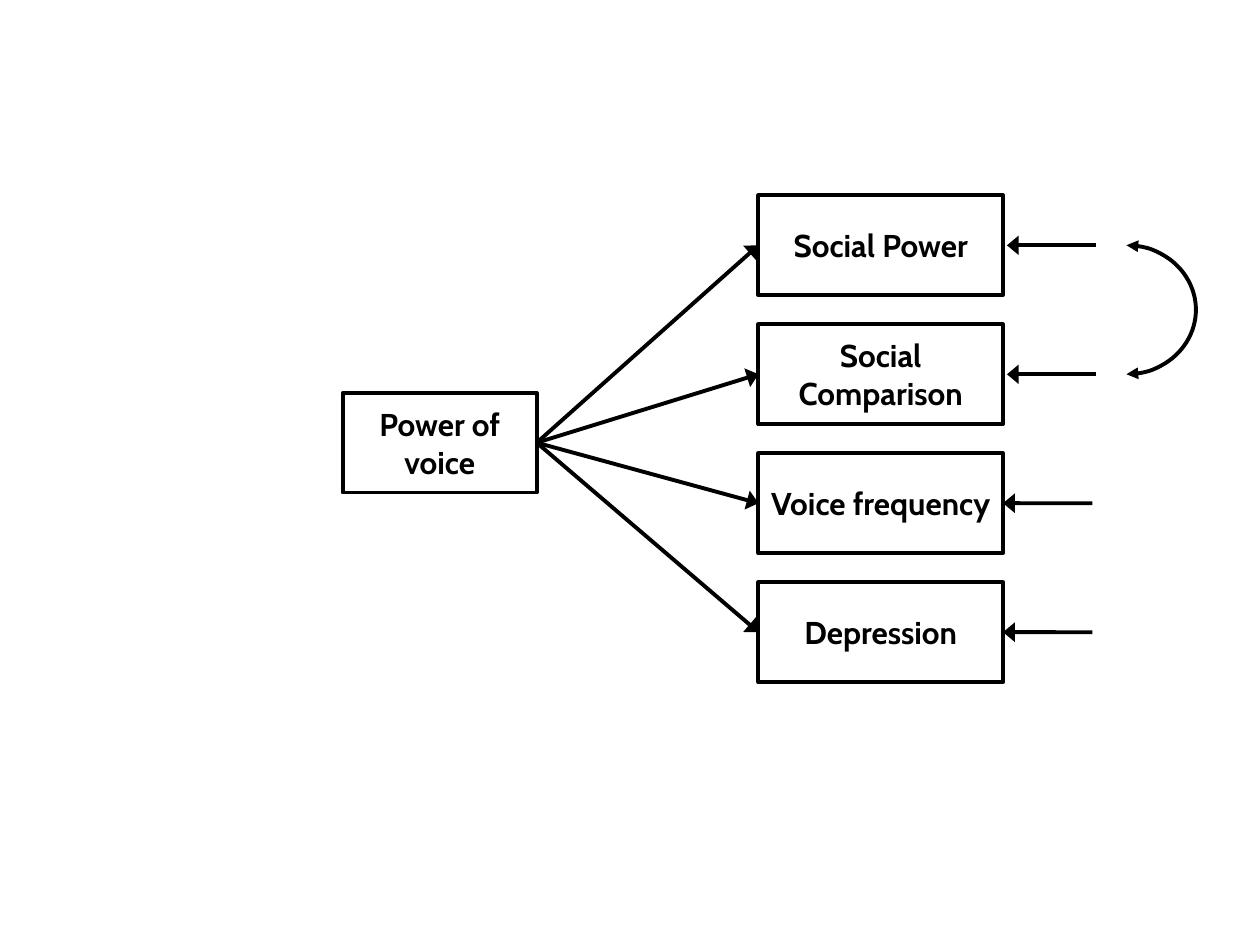
import pptx
import pptx.dml.color
import pptx.enum.shapes
import pptx.enum.text
import pptx.oxml.ns
import pptx.util
from lxml import etree
from pptx.util import Cm

PREDICTOR = "Power of voice"
# Outcome, and the gap in cm between its box and its error arrow
OUTCOMES = [
    ("Social Power", 0.08),
    ("Social Comparison", 0.08),
    ("Voice frequency", 0),
    ("Depression", 0),
]

THEME = {
    "ink": pptx.dml.color.RGBColor(0, 0, 0),
    "font": "Cabin",
    "text_size": pptx.util.Pt(18),
    "line_width": pptx.util.Pt(2.25),
}

# Layout in cm
BOX_HEIGHT = 2.01
PREDICTOR_LEFT, PREDICTOR_TOP, PREDICTOR_WIDTH = 6.91, 7.92, 3.91
OUTCOME_LEFT, OUTCOME_TOP, OUTCOME_WIDTH = 15.29, 3.94, 4.93
OUTCOME_PITCH = 2.6
ERROR_LENGTH = 1.8
ARC_CENTRE, ARC_RADIUS = 22.71, 1.4
LEFT_SIDE, RIGHT_SIDE = 1, 3


def style_line(line):
    line.color.rgb = THEME["ink"]
    line.width = THEME["line_width"]


def add_arrowhead(shape, end, width="lg"):
    """Put a triangle on the 'head' (start) or 'tail' (finish) of a line."""
    outline = shape.line._get_or_add_ln()
    etree.SubElement(outline, pptx.oxml.ns.qn(f"a:{end}End"),
                     type="triangle", w=width, len="med")


def add_box(slide, label, left, top, width):
    box = slide.shapes.add_shape(
        pptx.enum.shapes.MSO_SHAPE.RECTANGLE,
        Cm(left), Cm(top), Cm(width), Cm(BOX_HEIGHT))
    box.shadow.inherit = False
    box.fill.background()
    style_line(box.line)
    frame = box.text_frame
    frame.word_wrap = True
    frame.margin_left = frame.margin_right = Cm(0.2)
    frame.vertical_anchor = pptx.enum.text.MSO_ANCHOR.MIDDLE
    paragraph = frame.paragraphs[0]
    paragraph.text = label
    paragraph.alignment = pptx.enum.text.PP_ALIGN.CENTER
    paragraph.font.name = THEME["font"]
    paragraph.font.size = THEME["text_size"]
    paragraph.font.bold = True
    paragraph.font.color.rgb = THEME["ink"]
    return box


def add_arrow(slide, start, finish, end):
    arrow = slide.shapes.add_connector(
        pptx.enum.shapes.MSO_CONNECTOR.STRAIGHT,
        Cm(start[0]), Cm(start[1]), Cm(finish[0]), Cm(finish[1]))
    style_line(arrow.line)
    add_arrowhead(arrow, end)
    etree.SubElement(arrow._element.spPr, pptx.oxml.ns.qn("a:effectLst"))
    return arrow


def add_correlation(slide, top, bottom):
    """Draw the right half of an ellipse with an arrowhead at both ends."""
    arc = slide.shapes.add_shape(
        pptx.enum.shapes.MSO_SHAPE.ARC,
        Cm(ARC_CENTRE - ARC_RADIUS), Cm(top),
        Cm(2 * ARC_RADIUS), Cm(bottom - top))
    # Angles are in 60000ths of a degree, scaled down by 100000
    arc.adjustments[0] = 270 * 0.6
    arc.adjustments[1] = 90 * 0.6
    arc.shadow.inherit = False
    arc.fill.background()
    style_line(arc.line)
    for end in ("head", "tail"):
        add_arrowhead(arc, end, "med")


def main():
    deck = pptx.Presentation()
    deck.slide_width, deck.slide_height = Cm(25.4), Cm(19.05)
    slide = deck.slides.add_slide(deck.slide_layouts[6])

    predictor = add_box(slide, PREDICTOR, PREDICTOR_LEFT, PREDICTOR_TOP,
                        PREDICTOR_WIDTH)
    origin = (PREDICTOR_LEFT + PREDICTOR_WIDTH, PREDICTOR_TOP + BOX_HEIGHT / 2)
    outcome_right = OUTCOME_LEFT + OUTCOME_WIDTH
    middles = []
    for row, (label, gap) in enumerate(OUTCOMES):
        top = OUTCOME_TOP + row * OUTCOME_PITCH
        middle = top + BOX_HEIGHT / 2
        middles.append(middle)
        outcome = add_box(slide, label, OUTCOME_LEFT, top, OUTCOME_WIDTH)

        effect = add_arrow(slide, origin, (OUTCOME_LEFT, middle), "tail")
        effect.begin_connect(predictor, RIGHT_SIDE)
        effect.end_connect(outcome, LEFT_SIDE)

        error_left = outcome_right + gap
        error = add_arrow(slide, (error_left, middle),
                          (error_left + ERROR_LENGTH, middle), "head")
        if not gap:
            error.begin_connect(outcome, RIGHT_SIDE)

    add_correlation(slide, middles[0], middles[1])
    deck.save("out.pptx")


if __name__ == "__main__":
    main()
